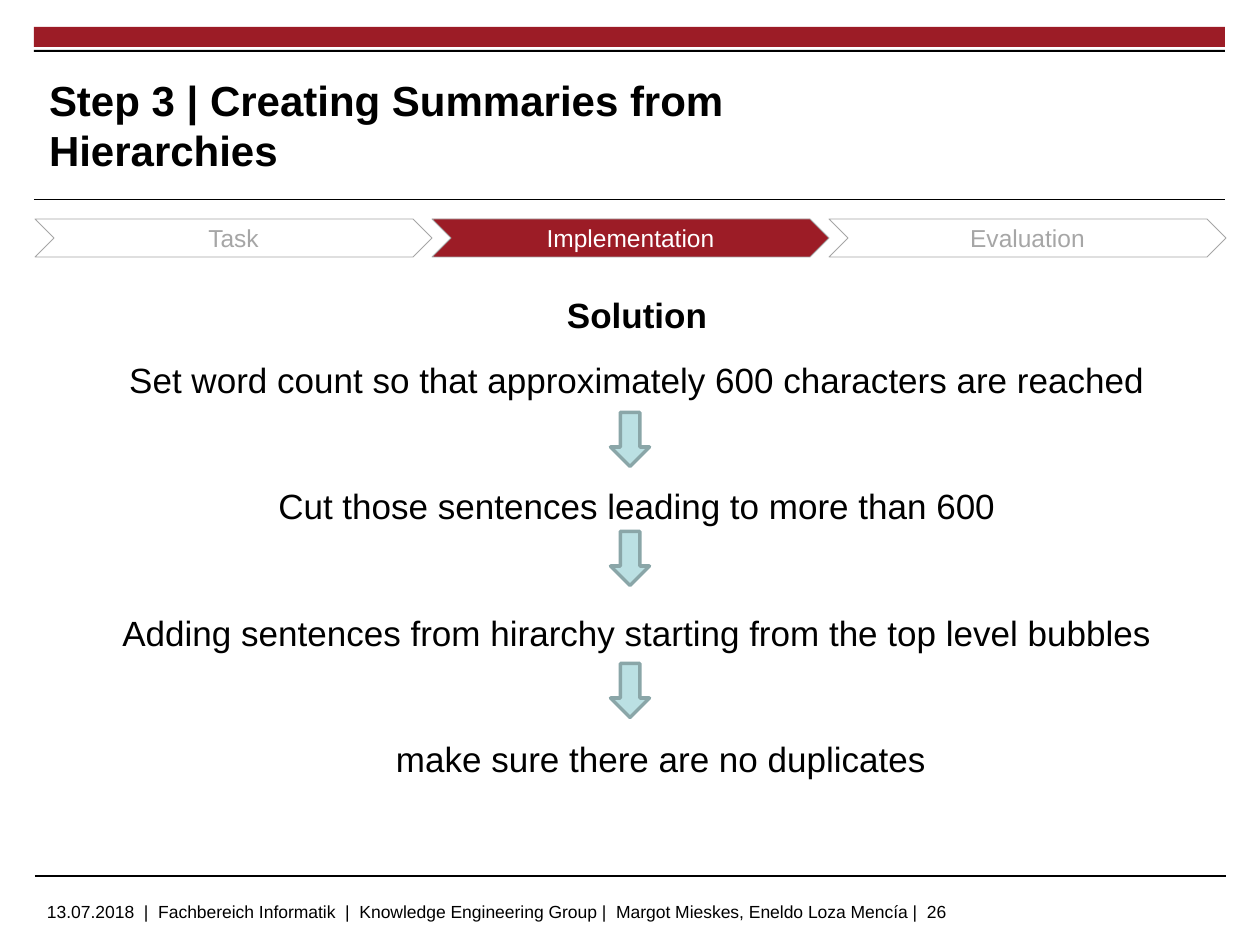
from dataclasses import dataclass

from lxml.etree import SubElement
from pptx import Presentation
from pptx.dml.color import RGBColor
from pptx.enum.shapes import MSO_CONNECTOR as Connector, MSO_SHAPE as Shape
from pptx.enum.text import MSO_ANCHOR as Anchor, PP_ALIGN as Align
from pptx.oxml.ns import qn
from pptx.util import Emu, Pt


@dataclass(frozen=True)
class Theme:
    font: str = "Arial"
    ink: str = "000000"
    paper: str = "FFFFFF"
    accent: str = "9C1C26"
    muted: str = "A6A6A6"
    arrow: str = "BBE0E3"
    arrow_edge: str = "8AA6A8"
    title: int = 24
    body: int = 20
    step: int = 14
    footer: int = 10


class SlideBuilder:
    """Draws styled elements on the current slide, measured in px."""

    def __init__(self, deck, theme):
        self.theme = theme
        self.slide = deck.slides.add_slide(deck.slide_layouts[6])

    @staticmethod
    def px(length):
        return Emu(round(length * 914400 / 126))

    def place(self, *lengths):
        return [self.px(length) for length in lengths]

    def span(self, para, text, size, color, bold=False):
        span = para.add_run()
        span.text = text
        font = span.font
        font.name, font.size, font.bold = self.theme.font, Pt(size), bold
        font.color.rgb = RGBColor.from_string(color)

    def shape(self, kind, at, fill, edge=None, weight=0.5):
        shape = self.slide.shapes.add_shape(kind, *self.place(*at))
        shape.shadow.inherit = False
        shape.fill.solid()
        shape.fill.fore_color.rgb = RGBColor.from_string(fill)
        if edge:
            shape.line.color.rgb = RGBColor.from_string(edge)
            shape.line.width = Pt(weight)
        else:
            shape.line.fill.background()
        return shape

    def rule(self, left, right, y):
        ends = self.place(left, y, right, y)
        line = self.slide.shapes.add_connector(Connector.STRAIGHT, *ends)
        line.line.color.rgb = RGBColor.from_string(self.theme.ink)
        line.line.width = Pt(0.6)
        SubElement(line._element.spPr, qn("a:effectLst"))

    def box(self, at, inset_x=0, inset_y=0, anchor=Anchor.TOP):
        box = self.slide.shapes.add_textbox(*self.place(*at))
        frame = box.text_frame
        frame.word_wrap = True
        frame.vertical_anchor = anchor
        frame.margin_left = frame.margin_right = self.px(inset_x)
        frame.margin_top = frame.margin_bottom = self.px(inset_y)
        return frame

    def chevron(self, at, text, active):
        theme = self.theme
        fill = theme.accent if active else theme.paper
        color = theme.paper if active else theme.muted
        frame = self.shape(Shape.CHEVRON, at, fill, theme.muted).text_frame
        frame.vertical_anchor = Anchor.MIDDLE
        para = frame.paragraphs[0]
        para.alignment = Align.CENTER
        self.span(para, text, theme.step, color)

    def arrow(self, at):
        theme = self.theme
        arrow = self.shape(Shape.RIGHT_ARROW, at, theme.arrow, theme.arrow_edge, 2)
        arrow.rotation = 90

    def body(self, at, lines):
        frame = self.box(at, inset_y=6)
        for index, (text, before, indent, bold) in enumerate(lines):
            para = frame.add_paragraph() if index else frame.paragraphs[0]
            para.alignment = Align.CENTER
            para.line_spacing = 1.3
            para.space_before, para.space_after = Pt(before), Pt(3.6)
            para._p.get_or_add_pPr().set("marL", str(self.px(indent)))
            self.span(para, text, self.theme.body, self.theme.ink, bold)


def main():
    theme = Theme()
    deck = Presentation()
    deck.slide_width, deck.slide_height = SlideBuilder.px(1260), SlideBuilder.px(945)
    page = SlideBuilder(deck, theme)

    page.shape(Shape.RECTANGLE, (34, 27, 1191, 20), theme.accent)
    page.shape(Shape.RECTANGLE, (34, 50, 1191, 2), theme.ink)
    page.rule(34, 1225, 200)
    page.rule(35, 1226, 876)

    footer = page.box((35, 895, 993, 31), 12, 6)
    page.span(
        footer.paragraphs[0],
        "13.07.2018  |  Fachbereich Informatik  |  Knowledge Engineering Group |"
        "  Margot Mieskes, Eneldo Loza Mencía |  26",
        theme.footer, theme.ink,
    )
    title = page.box((49, 67, 915, 116), anchor=Anchor.MIDDLE)
    page.span(title.paragraphs[0], "Step 3 | Creating Summaries from Hierarchies",
              theme.title, theme.ink, True)

    gap = 37.5
    page.body((49, 275, 1176, 566), [
        ("Solution", 2, 0, True),
        ("Set word count so that approximately 600 characters are reached", 2, 0, False),
        ("Cut those sentences leading to more than 600", gap, 0, False),
        ("Adding sentences from hirarchy starting from the top level bubbles", gap, 0, False),
        ("make sure there are no duplicates", gap, 48, False),
    ])
    for top in (420, 539, 671):
        page.arrow((603, top, 54, 39))

    for index, name in enumerate(("Task", "Implementation", "Evaluation")):
        page.chevron((35 + 397 * index, 219, 397, 38), name, name == "Implementation")

    deck.save("out.pptx")


if __name__ == "__main__":
    main()
